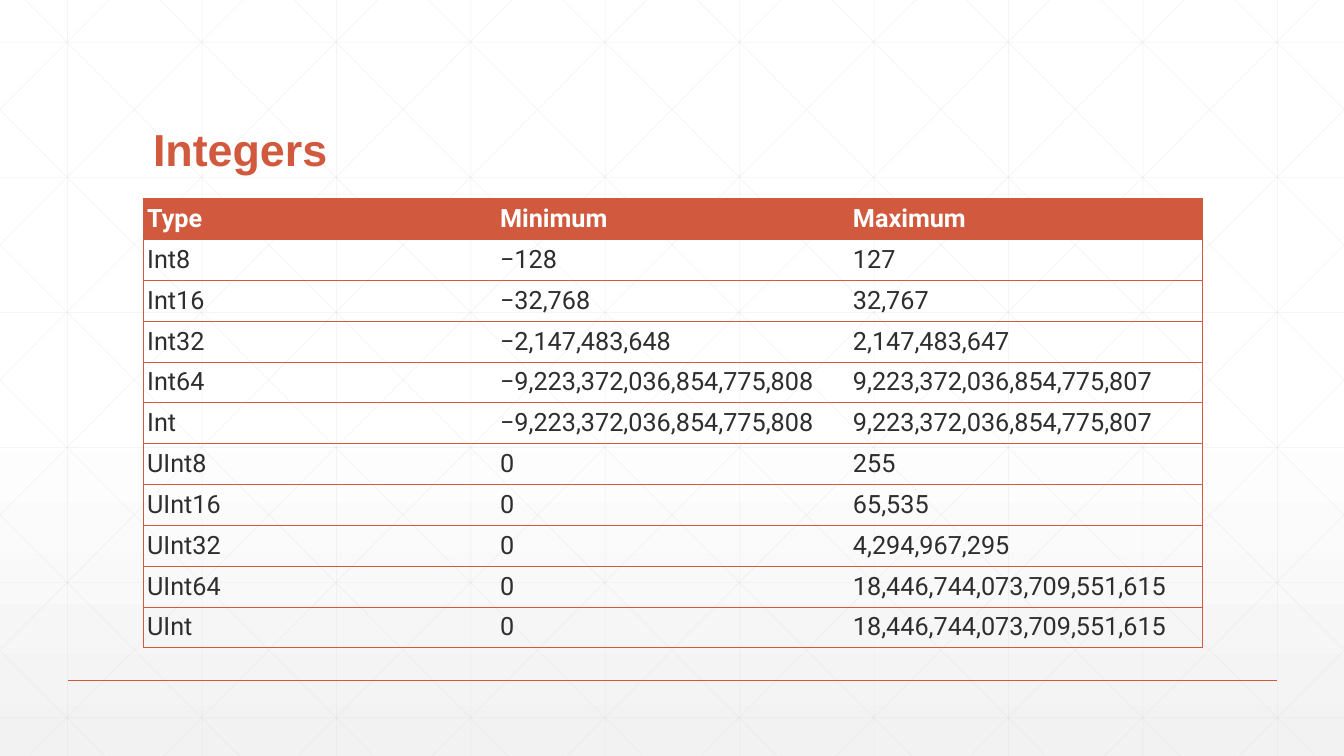
from lxml import etree
from pptx import Presentation
from pptx.dml.color import RGBColor
from pptx.enum.shapes import MSO_CONNECTOR as Connector
from pptx.enum.text import MSO_ANCHOR as Anchor
from pptx.oxml import parse_xml
from pptx.oxml.ns import nsdecls, qn
from pptx.util import Inches, Pt

# Content
TITLE = "Integers"
HEADER = ("Type", "Minimum", "Maximum")
INTEGER_TYPES = [
    ("Int8", "−128", "127"),
    ("Int16", "−32,768", "32,767"),
    ("Int32", "−2,147,483,648", "2,147,483,647"),
    ("Int64", "−9,223,372,036,854,775,808", "9,223,372,036,854,775,807"),
    ("Int", "−9,223,372,036,854,775,808", "9,223,372,036,854,775,807"),
    ("UInt8", "0", "255"),
    ("UInt16", "0", "65,535"),
    ("UInt32", "0", "4,294,967,295"),
    ("UInt64", "0", "18,446,744,073,709,551,615"),
    ("UInt", "0", "18,446,744,073,709,551,615"),
]

COLORS = {
    "accent": "D15A3E",
    "text": "2D2E2D",
    "white": "FFFFFF",
    "shade": "F2F2F2",
    "grid": "D9D9D9",
}

# Measures in inches
WIDTH, HEIGHT = 13.33, 7.5
GRID_STEP = 4 / 3
ROW_STEP = 1.34
DIAGONAL_RUN = 7.46  # sideways travel over the full slide height
LEFT, CONTENT_WIDTH = 1.42, 10.5
TABLE_TOP, TABLE_HEIGHT = 1.97, 4.46
CELL_INSET = 0.04


def color(name):
    return RGBColor.from_string(COLORS[name])


def write(frame, text, *, size, font, fill, bold=False, anchor=Anchor.MIDDLE, spacing=None):
    frame.word_wrap = True
    frame.vertical_anchor = anchor
    paragraph = frame.paragraphs[0]
    paragraph.line_spacing = spacing
    run = paragraph.add_run()
    run.text = text
    run.font.size = Pt(size)
    run.font.name = font
    run.font.bold = bold
    run.font.color.rgb = color(fill)


def add_line(shapes, start, end, *, stroke, width, opacity=None):
    points = [Inches(value) for value in (*start, *end)]
    line = shapes.add_connector(Connector.STRAIGHT, *points)
    line.line.color.rgb = color(stroke)
    line.line.width = Pt(width)
    properties = line._element.spPr
    if opacity is not None:
        tint = properties.find(".//" + qn("a:srgbClr"))
        etree.SubElement(tint, qn("a:alpha"), val=str(opacity * 1000))
    etree.SubElement(properties, qn("a:effectLst"))


def diagonal(top_x):
    """Ends of a falling diagonal, clipped to the slide's sides."""
    slope = HEIGHT / DIAGONAL_RUN
    start_x, end_x = max(top_x, 0), min(top_x + DIAGONAL_RUN, WIDTH)
    return (start_x, (start_x - top_x) * slope), (end_x, (end_x - top_x) * slope)


def mirror(point):
    return WIDTH - point[0], point[1]


def add_background_grid(slide):
    lines = []
    for column in range(10):
        x = 0.67 + column * GRID_STEP
        lines.append(((x, 0), (x, HEIGHT)))
    for row in range(6):
        y = 0.42 + row * ROW_STEP
        lines.append(((0, y), (WIDTH, y)))
    falling = [diagonal(0.25 + index * GRID_STEP) for index in range(-5, 10)]
    lines += falling
    lines += [(mirror(start), mirror(end)) for start, end in falling]
    group = slide.shapes.add_group_shape()
    for start, end in lines:
        add_line(group.shapes, start, end, stroke="grid", width=0.5, opacity=25)


def set_borders(cell, sides):
    """Draw the named sides (L, R, T, B) and clear the others."""
    properties = cell._tc.get_or_add_tcPr()
    for index, side in enumerate("LRTB"):
        paint = "<a:noFill/>"
        if side in sides:
            paint = f'<a:solidFill><a:srgbClr val="{COLORS["accent"]}"/></a:solidFill>'
        border = parse_xml(f'<a:ln{side} {nsdecls("a")} w="{Pt(0.5)}">{paint}</a:ln{side}>')
        properties.insert(index, border)


def add_integer_table(slide):
    rows = [HEADER, *INTEGER_TYPES]
    frame = slide.shapes.add_table(
        len(rows), len(HEADER), Inches(LEFT), Inches(TABLE_TOP),
        Inches(CONTENT_WIDTH), Inches(TABLE_HEIGHT))
    table = frame.table
    table.horz_banding = False
    for column in table.columns:
        column.width = Inches(CONTENT_WIDTH / len(HEADER))
    for row_index, values in enumerate(rows):
        is_header = row_index == 0
        table.rows[row_index].height = Inches(TABLE_HEIGHT / len(rows))
        for column_index, value in enumerate(values):
            cell = table.cell(row_index, column_index)
            cell.margin_left = cell.margin_right = Inches(CELL_INSET)
            cell.margin_top = cell.margin_bottom = Inches(CELL_INSET)
            cell.vertical_anchor = Anchor.MIDDLE
            if is_header:
                cell.fill.solid()
                cell.fill.fore_color.rgb = color("accent")
            else:
                cell.fill.background()
            write(cell.text_frame, value, size=18, font="Roboto",
                  fill="white" if is_header else "text", bold=is_header)
            outer_side = {0: "L", len(HEADER) - 1: "R"}.get(column_index, "")
            set_borders(cell, "TB" + outer_side)


def main():
    presentation = Presentation()
    presentation.slide_width = Inches(WIDTH)
    presentation.slide_height = Inches(HEIGHT)
    slide = presentation.slides.add_slide(presentation.slide_layouts[6])

    # Background: white fading to grey in the lower half
    background = slide.background.fill
    background.gradient()
    background.gradient_angle = 270
    for stop, (position, name) in zip(background.gradient_stops, [(0.53, "white"), (1, "shade")]):
        stop.position = position
        stop.color.rgb = color(name)
    add_background_grid(slide)

    # Footer rule
    add_line(slide.shapes, (0.67, 6.75), (12.67, 6.75), stroke="accent", width=1)

    # Title
    title = slide.shapes.add_textbox(
        Inches(LEFT), Inches(0.55), Inches(CONTENT_WIDTH), Inches(1.25))
    write(title.text_frame, TITLE, size=32, font="Arial", fill="accent",
          bold=True, anchor=Anchor.BOTTOM, spacing=0.9)

    # Table
    add_integer_table(slide)
    presentation.save("out.pptx")


if __name__ == "__main__":
    main()
